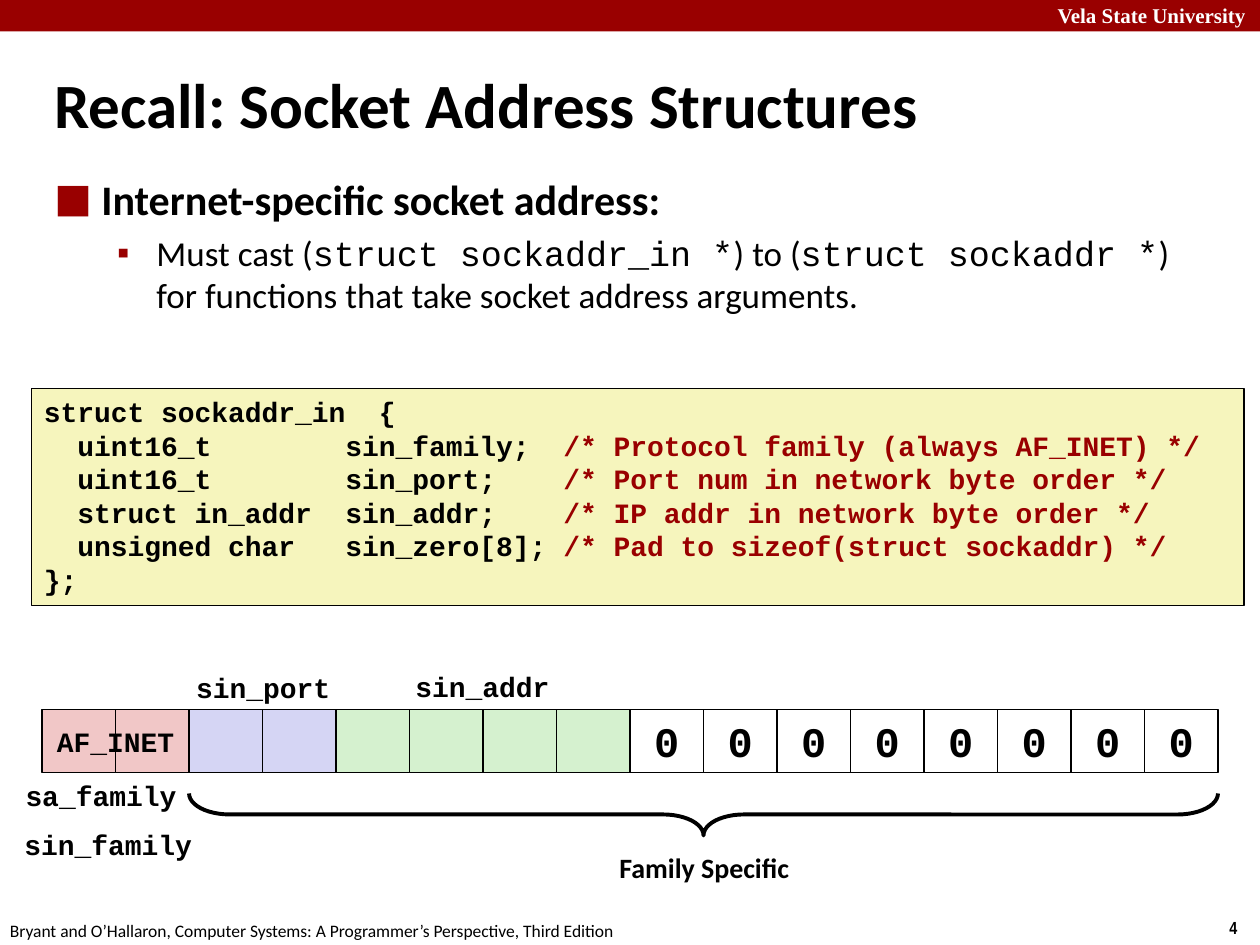
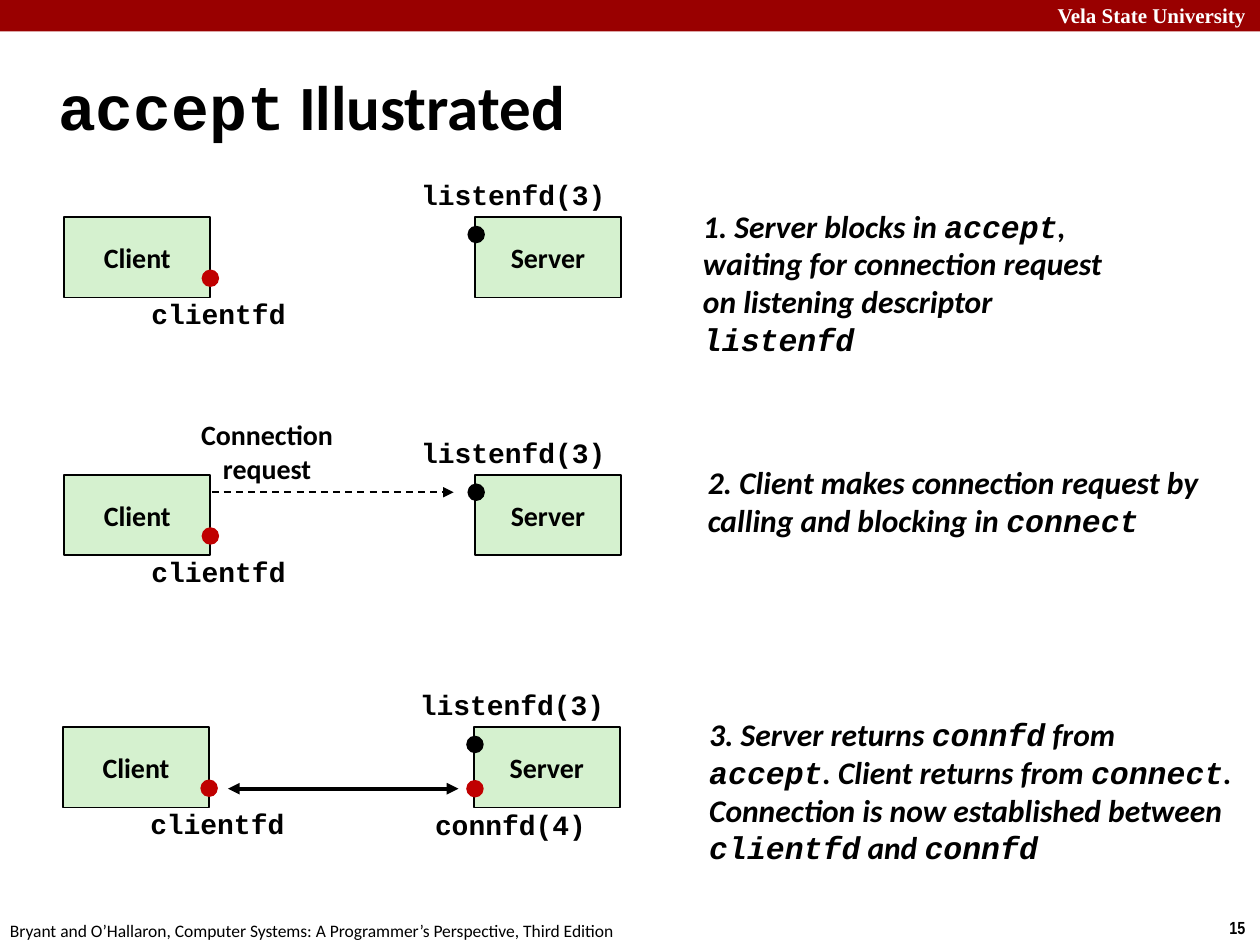
from dataclasses import dataclass

from lxml.etree import SubElement
from pptx import Presentation
from pptx.dml.color import RGBColor
from pptx.enum.dml import MSO_LINE
from pptx.enum.shapes import MSO_CONNECTOR, MSO_SHAPE
from pptx.enum.text import MSO_ANCHOR, MSO_AUTO_SIZE, PP_ALIGN
from pptx.oxml.ns import qn
from pptx.util import Pt


@dataclass(frozen=True)
class Theme:
    black: str = "000000"
    white: str = "FFFFFF"
    crimson: str = "990000"
    red: str = "C00000"
    pink: str = "F1C7C7"
    lavender: str = "D5D5F4"
    green: str = "D5F1CF"
    cream: str = "F6F5BD"
    sans: str = "Calibri"
    mono: str = "Courier New"
    serif: str = "Times New Roman"
    narrow: str = "Arial Narrow"
    title: int = 36
    heading: int = 24
    body: int = 20
    caption: int = 18
    label: int = 16
    header: int = 12
    footer: int = 10


THEME = Theme()
TITLE_ONLY = 5
LEFT, CENTER, RIGHT = PP_ALIGN.LEFT, PP_ALIGN.CENTER, PP_ALIGN.RIGHT
TOP, MIDDLE = MSO_ANCHOR.TOP, MSO_ANCHOR.MIDDLE


def rgb(color):
    return RGBColor.from_string(color)


def write(paragraph, text, size, font=THEME.sans, color=THEME.black,
          bold=True, italic=False, align=LEFT):
    """Fill a paragraph; parts between backticks are set in the code font."""
    paragraph.alignment = align
    paragraph.font.size = Pt(size)
    paragraph.font.bold = bold
    paragraph.font.italic = italic
    paragraph.font.color.rgb = rgb(color)
    parts = text.split("`")
    if len(parts) == 1:
        paragraph.font.name = font
    for index, part in enumerate(parts):
        if part:
            run = paragraph.add_run()
            run.text = part
            if len(parts) > 1:
                run.font.name = THEME.mono if index % 2 else font


def set_frame(shape, wrap=True, anchor=TOP):
    frame = shape.text_frame
    frame.auto_size = MSO_AUTO_SIZE.NONE
    frame.word_wrap = wrap
    frame.vertical_anchor = anchor
    frame.margin_left = frame.margin_right = Pt(7.2)
    frame.margin_top = frame.margin_bottom = Pt(3.6)
    return frame


def add_text(slide, box, lines, size, wrap=False, anchor=TOP, **style):
    shape = slide.shapes.add_textbox(*map(Pt, box))
    frame = set_frame(shape, wrap, anchor)
    for index, line in enumerate(lines.split("\n")):
        paragraph = frame.add_paragraph() if index else frame.paragraphs[0]
        write(paragraph, line, size, **style)


def add_label(slide, box, text, font=THEME.mono):
    add_text(slide, box, text, THEME.label, font=font, align=CENTER)


def add_block(slide, box, fill, kind=MSO_SHAPE.RECTANGLE, line_width=1):
    """Add a preset shape; no fill or a zero line width leaves that part out."""
    shape = slide.shapes.add_shape(kind, *map(Pt, box))
    shape.shadow.inherit = False
    if fill:
        shape.fill.solid()
        shape.fill.fore_color.rgb = rgb(fill)
    else:
        shape.fill.background()
    if line_width:
        shape.line.color.rgb = rgb(THEME.black)
        shape.line.width = Pt(line_width)
    else:
        shape.line.fill.background()
    return shape


def add_arrow(slide, start, end, y, width, ends, dashed=False):
    arrow = slide.shapes.add_connector(
        MSO_CONNECTOR.STRAIGHT, Pt(start), Pt(y), Pt(end), Pt(y))
    arrow.line.color.rgb = rgb(THEME.black)
    arrow.line.width = Pt(width)
    if dashed:
        arrow.line.dash_style = MSO_LINE.DASH
    properties = arrow.line._get_or_add_ln()
    for end_name in ends:
        SubElement(properties, qn(f"a:{end_name}"), type="triangle")
    SubElement(arrow._element.spPr, qn("a:effectLst"))


def set_bullet(paragraph, character, margin, hanging, percent=100):
    properties = paragraph._p.get_or_add_pPr()
    properties.set("marL", str(Pt(margin)))
    properties.set("indent", str(-Pt(hanging)))
    color = SubElement(properties, qn("a:buClr"))
    SubElement(color, qn("a:srgbClr"), val=THEME.crimson)
    SubElement(properties, qn("a:buSzPct"), val=str(percent * 1000))
    SubElement(properties, qn("a:buFont"), typeface=THEME.serif)
    SubElement(properties, qn("a:buChar"), char=character)


def start_slide(presentation, title, title_box, number):
    """Add a slide with the title, top band and footer that all slides share."""
    slide = presentation.slides.add_slide(presentation.slide_layouts[TITLE_ONLY])
    add_block(slide, (0, 0, 720, 18), THEME.crimson, line_width=0)
    add_text(slide, (596, -2.2, 123, 21.6), "Vela State University", THEME.header,
             font=THEME.serif, color=THEME.white, align=RIGHT)
    add_text(slide, (695.5, 520.6, 24.5, 19.4), str(number), THEME.footer,
             font=THEME.narrow)
    add_text(slide, (-1.4, 522, 366, 19.4),
             "Bryant and O’Hallaron, Computer Systems: "
             "A Programmer’s Perspective, Third Edition",
             THEME.footer, bold=False)
    placeholder = slide.shapes.title
    placeholder.left, placeholder.top, placeholder.width, placeholder.height = map(
        Pt, title_box)
    write(set_frame(placeholder, anchor=MIDDLE).paragraphs[0], title, THEME.title)
    return slide


def add_cast_advice(slide, box):
    frame = set_frame(slide.shapes.add_textbox(*map(Pt, box)))
    heading = frame.paragraphs[0]
    write(heading, "Internet-specific socket address:", THEME.heading)
    set_bullet(heading, "■", 27, 27, 150)
    detail = frame.add_paragraph()
    write(detail, "Must cast (`struct sockaddr_in *`) to (`struct sockaddr *`) "
          "for functions that take socket address arguments.",
          THEME.body, bold=False)
    detail.level = 1
    detail.space_before = Pt(4)
    set_bullet(detail, "▪", 58.5, 22.5)


def add_struct_code(slide, box):
    fields = [
        ("uint16_t", "sin_family;", "Protocol family (always AF_INET)"),
        ("uint16_t", "sin_port;", "Port num in network byte order"),
        ("struct in_addr", "sin_addr;", "IP addr in network byte order"),
        ("unsigned char", "sin_zero[8];", "Pad to sizeof(struct sockaddr)"),
    ]
    frame = set_frame(add_block(slide, box, THEME.cream))
    code_style = dict(size=THEME.label, font=THEME.mono)
    write(frame.paragraphs[0], "struct sockaddr_in  {", **code_style)
    for kind, name, comment in fields:
        paragraph = frame.add_paragraph()
        write(paragraph, f"  {kind:<16}{name:<13}", **code_style)
        run = paragraph.add_run()
        run.text = f"/* {comment} */"
        run.font.color.rgb = rgb(THEME.crimson)
    write(frame.add_paragraph(), "};", **code_style)


def add_byte_layout(slide, box):
    """Draw the 16 bytes of the address with the names of their fields."""
    left, top, width, height = box
    fills = ([THEME.pink] * 2 + [THEME.lavender] * 2
             + [THEME.green] * 4 + [THEME.white] * 8)
    cell = width / len(fills)
    for index, fill in enumerate(fills):
        byte = add_block(slide, (left + index * cell, top, cell, height), fill)
        if fill == THEME.white:
            write(set_frame(byte, False, MIDDLE).paragraphs[0], "0",
                  THEME.heading, font=THEME.mono, align=CENTER)

    labels = [
        ("AF_INET", 0.5, 5, 83),
        ("sin_port", 80.4, -26, 92),
        ("sin_addr", 205.7, -26.5, 92),
        ("sa_family", -16.8, 36, 101),
        ("sin_family", -18.2, 64, 112),
    ]
    for text, x, y, label_width in labels:
        add_label(slide, (left + x, top + y, label_width, 26.6), text)

    span, depth = width - 2 * cell, 24
    center_x, center_y = left + 2 * cell + span / 2, top + 60
    brace = add_block(
        slide, (center_x - depth / 2, center_y - span / 2, depth, span),
        None, MSO_SHAPE.RIGHT_BRACE, 2.25)
    brace.rotation = 90
    brace.adjustments[0] = 0.96
    brace.adjustments[1] = 0.5
    add_label(slide, (center_x - 56, top + 77, 113, 26.6), "Family Specific",
              THEME.sans)


def add_dot(slide, center_x, center_y, color):
    add_block(slide, (center_x - 5, center_y - 5, 10, 10), color,
              MSO_SHAPE.OVAL, 0)


def add_endpoints(slide, left, top):
    """Draw client and server with the descriptors that every step shows."""
    for name, x in (("Client", 0), ("Server", 234.7)):
        host = add_block(slide, (left + x, top, 83.5, 46), THEME.green)
        write(set_frame(host, anchor=MIDDLE).paragraphs[0], name, THEME.label,
              align=CENTER)
    add_label(slide, (left + 196.6, top - 26, 120, 26.6), "listenfd(3)")
    add_label(slide, (left + 42.5, top + 42, 91.4, 26.6), "clientfd")
    add_dot(slide, left + 83.5, top + 35, THEME.red)
    add_dot(slide, left + 235.4, top + 10, THEME.black)


def add_request(slide, left, top):
    add_arrow(slide, left + 84.2, left + 222.5, top + 10, 1, ["tailEnd"], dashed=True)
    add_label(slide, (left + 70.6, top - 36, 90.7, 46), "Connection\nrequest",
              THEME.sans)


def add_connection(slide, left, top):
    add_arrow(slide, left + 94.3, left + 226, top + 35.3, 2.25,
              ["headEnd", "tailEnd"])
    add_dot(slide, left + 235.4, top + 35.3, THEME.red)
    add_label(slide, (left + 205.2, top + 42.5, 101, 26.6), "connfd(4)")


def build_address_slide(presentation):
    slide = start_slide(presentation, "Recall: Socket Address Structures",
                        (23.8, 28.8, 686, 61), 4)
    add_cast_advice(slide, (23.8, 95.8, 654.5, 132))
    add_byte_layout(slide, (24, 405.4, 672, 36))
    add_struct_code(slide, (18, 222, 693, 124))


def build_accept_slide(presentation):
    slide = start_slide(presentation, "`accept` Illustrated",
                        (26, 37.4, 660, 45.4), 15)
    steps = [
        (36.7, 124, (394.6, 114.5, 259, 93.6), None,
         "1. Server blocks in `accept`, waiting for connection request "
         "on listening descriptor `listenfd`"),
        (36.7, 271.3, (397.4, 260.6, 304.6, 51), add_request,
         "2. Client makes connection request by calling and blocking in `connect`"),
        (36, 415.4, (398.2, 404.6, 316, 94.3), add_connection,
         "3. Server returns `connfd` from `accept`. Client returns from `connect`. "
         "Connection is now established between `clientfd` and `connfd`"),
    ]
    for left, top, caption_box, add_exchange, caption in steps:
        add_endpoints(slide, left, top)
        if add_exchange:
            add_exchange(slide, left, top)
        add_text(slide, caption_box, caption, THEME.caption, wrap=True,
                 anchor=MIDDLE, italic=True)


def main():
    presentation = Presentation()
    presentation.slide_width, presentation.slide_height = Pt(720), Pt(540)
    build_address_slide(presentation)
    build_accept_slide(presentation)
    presentation.save("out.pptx")


if __name__ == "__main__":
    main()
